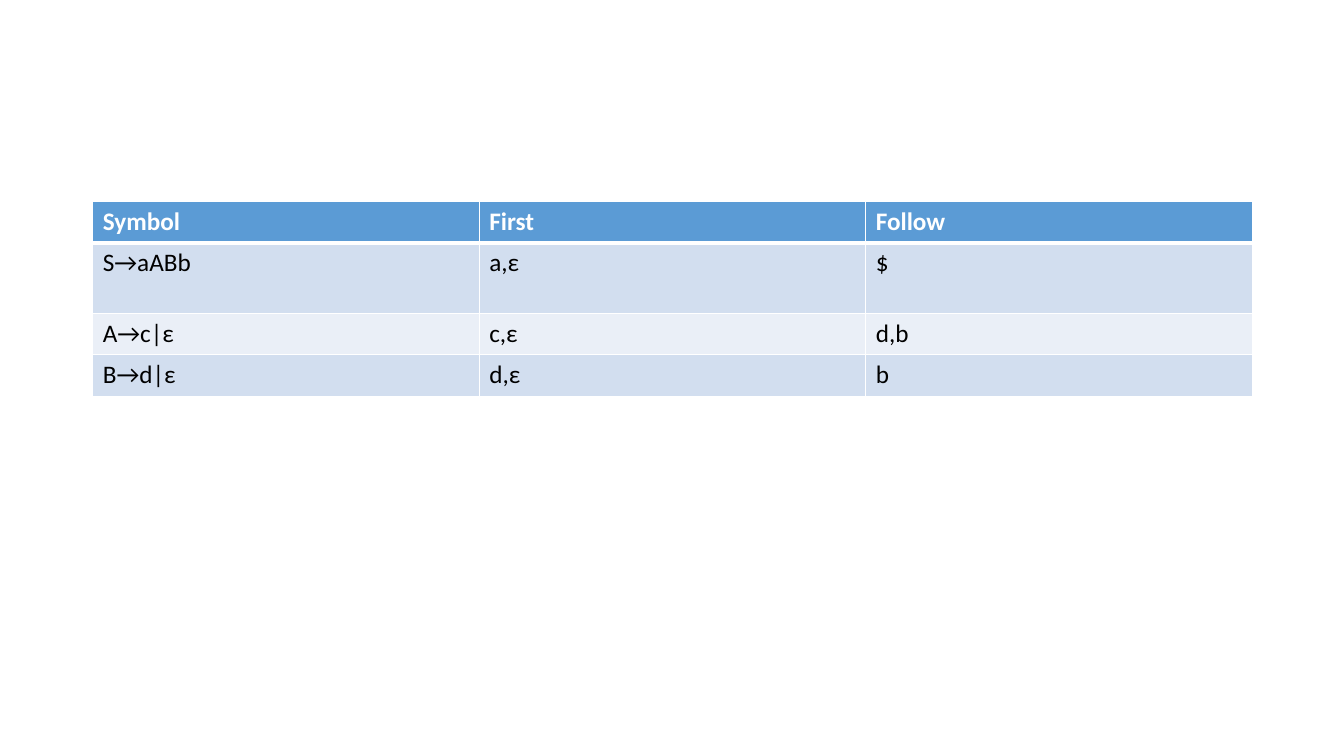
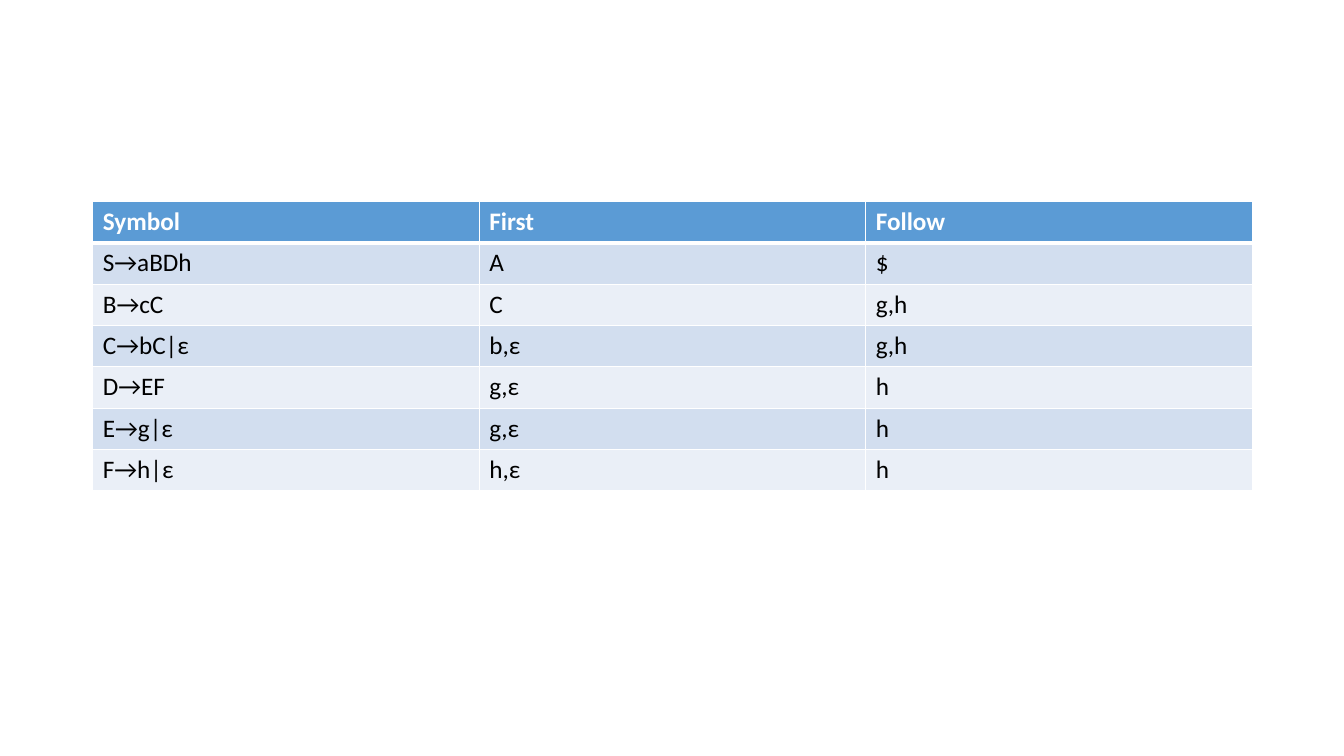
from lxml import etree
from pptx import Presentation
from pptx.dml.color import RGBColor
from pptx.oxml.ns import qn
from pptx.util import Inches, Pt

FONT = "Calibri"
FONT_SIZE = 18
WHITE = "FFFFFF"
BLACK = "000000"
HEADER_FILL = "5B9BD5"
BAND_FILLS = ("D2DEEF", "EAEFF7")
BLANK_LAYOUT = 6

TABLE_LEFT, TABLE_TOP, TABLE_WIDTH = 0.92, 2, 11.5
ROW_HEIGHT = 0.41
TALL_ROW_HEIGHT = 0.7
THIN_RULE, HEADER_RULE = 1, 3

HEADINGS = ("Symbol", "First", "Follow")
SHORT_GRAMMAR = (
    ("S→aABb", "a,ε", "$"),
    ("A→c|ε", "c,ε", "d,b"),
    ("B→d|ε", "d,ε", "b"),
)
LONG_GRAMMAR = (
    ("S→aBDh", "A", "$"),
    ("B→cC", "C", "g,h"),
    ("C→bC|ε", "b,ε", "g,h"),
    ("D→EF", "g,ε", "h"),
    ("E→g|ε", "g,ε", "h"),
    ("F→h|ε", "h,ε", "h"),
)


def colour(hex_code):
    """Turn a hex string into a colour."""
    return RGBColor.from_string(hex_code)


def set_borders(cell, top, bottom):
    """Draw white cell borders, with the top and bottom widths in points."""
    properties = cell._tc.get_or_add_tcPr()
    edges = (("L", THIN_RULE), ("R", THIN_RULE), ("T", top), ("B", bottom))
    for position, (side, width) in enumerate(edges):
        border = etree.Element(qn(f"a:ln{side}"), w=str(Pt(width)))
        fill = etree.SubElement(border, qn("a:solidFill"))
        etree.SubElement(fill, qn("a:srgbClr"), val=WHITE)
        properties.insert(position, border)


def format_cell(cell, text, row_index):
    """Fill one cell and style it by its row."""
    is_header = row_index == 0
    cell.text_frame.text = text
    font = cell.text_frame.paragraphs[0].runs[0].font
    font.name = FONT
    font.size = Pt(FONT_SIZE)
    font.bold = is_header
    font.color.rgb = colour(WHITE if is_header else BLACK)
    cell.fill.solid()
    band = BAND_FILLS[(row_index - 1) % len(BAND_FILLS)]
    cell.fill.fore_color.rgb = colour(HEADER_FILL if is_header else band)
    set_borders(
        cell,
        top=HEADER_RULE if row_index == 1 else THIN_RULE,
        bottom=HEADER_RULE if is_header else THIN_RULE,
    )


def add_grammar_slide(deck, productions, start_height=ROW_HEIGHT):
    """Add a slide with the First and Follow sets of a grammar."""
    slide = deck.slides.add_slide(deck.slide_layouts[BLANK_LAYOUT])
    rows = (HEADINGS, *productions)
    heights = [ROW_HEIGHT] * len(rows)
    heights[1] = start_height
    grammar = slide.shapes.add_table(
        len(rows), len(HEADINGS),
        Inches(TABLE_LEFT), Inches(TABLE_TOP),
        Inches(TABLE_WIDTH), Inches(sum(heights)),
    ).table
    for row_index, (texts, height) in enumerate(zip(rows, heights)):
        grammar.rows[row_index].height = Inches(height)
        for column_index, text in enumerate(texts):
            format_cell(grammar.cell(row_index, column_index), text, row_index)


def main():
    """Build and save the deck."""
    deck = Presentation()
    deck.slide_width = Inches(13.33)
    deck.slide_height = Inches(7.5)
    add_grammar_slide(deck, SHORT_GRAMMAR, TALL_ROW_HEIGHT)
    add_grammar_slide(deck, LONG_GRAMMAR)
    deck.save("out.pptx")


if __name__ == "__main__":
    main()
